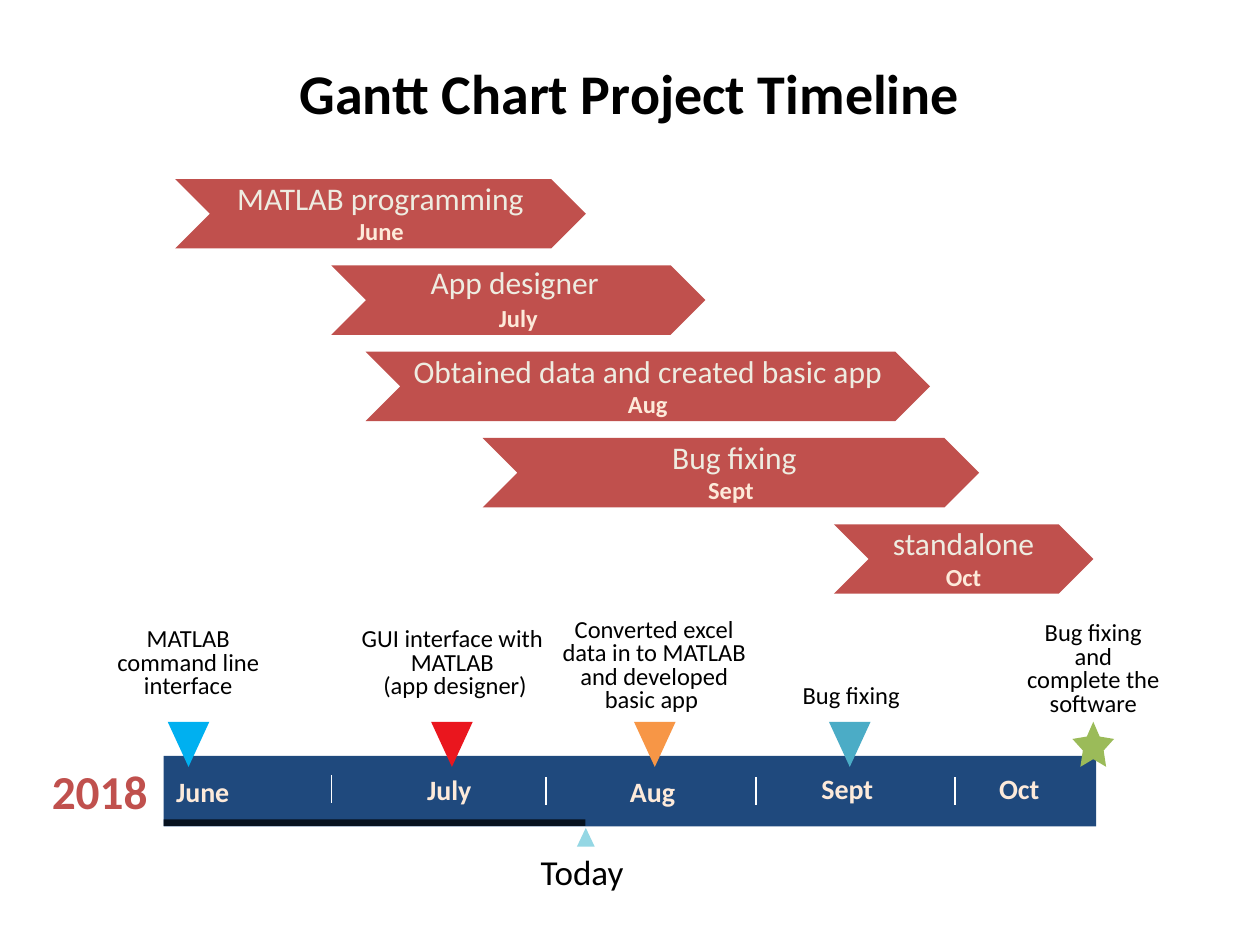
"""Build a one-slide Gantt chart with a 2018 milestone timeline."""
from lxml.etree import SubElement
from pptx import Presentation
from pptx.dml.color import RGBColor
from pptx.enum.shapes import MSO_CONNECTOR, MSO_SHAPE
from pptx.enum.text import MSO_ANCHOR, MSO_AUTO_SIZE, PP_ALIGN
from pptx.oxml.ns import qn
from pptx.util import Cm, Pt

BLACK = RGBColor(0x00, 0x00, 0x00)
WHITE = RGBColor(0xFF, 0xFF, 0xFF)
BRICK = RGBColor(0xC0, 0x50, 0x4D)
NAVY = RGBColor(0x1F, 0x49, 0x7D)
CREAM = RGBColor(0xFD, 0xEA, 0xDA)
IVORY = RGBColor(0xEE, 0xEC, 0xE1)
SKY = RGBColor(0x00, 0xB0, 0xF0)
RED = RGBColor(0xEA, 0x16, 0x1E)
ORANGE = RGBColor(0xF7, 0x96, 0x46)
TEAL = RGBColor(0x4B, 0xAC, 0xC6)
GREEN = RGBColor(0x9B, 0xBB, 0x59)
PALE_BLUE = RGBColor(0x94, 0xD7, 0xE4)

deck = Presentation()
deck.slide_width, deck.slide_height = Cm(25.4), Cm(19.05)
page = deck.slides.add_slide(deck.slide_layouts[6])


def add_figure(kind, left, top, width, height, color):
    figure = page.shapes.add_shape(kind, Cm(left), Cm(top), Cm(width), Cm(height))
    figure.shadow.inherit = False
    figure.fill.solid()
    figure.fill.fore_color.rgb = color
    figure.line.fill.background()
    return figure


def add_label(lines, left, top, width, height, size, color, bold=False, align=PP_ALIGN.CENTER,
              anchor=MSO_ANCHOR.MIDDLE, side=0, edge=0, wrap=False, grow=True, spacing=None):
    box = page.shapes.add_textbox(Cm(left), Cm(top), Cm(width), Cm(height))
    frame = box.text_frame
    frame.word_wrap = wrap
    frame.auto_size = MSO_AUTO_SIZE.SHAPE_TO_FIT_TEXT if grow else MSO_AUTO_SIZE.NONE
    frame.vertical_anchor = anchor
    frame.margin_left = frame.margin_right = Cm(side)
    frame.margin_top = frame.margin_bottom = Cm(edge)
    for index, line in enumerate(lines):
        para = frame.add_paragraph() if index else frame.paragraphs[0]
        para.alignment = align
        para.line_spacing = spacing
        span = para.add_run()
        span.text = line
        span.font.name = "Calibri"
        span.font.size = Pt(size)
        span.font.bold = bold
        span.font.color.rgb = color


add_label(["Gantt Chart Project Timeline"], 2.74, 1.4, 19.91, 1.12, 32, BLACK, bold=True,
          anchor=MSO_ANCHOR.BOTTOM, side=0.18, wrap=True, spacing=0.8)

tasks = [
    ("MATLAB programming", "June", 3.53, 8.28, 5.99, 0),
    ("App designer ", "July", 6.68, 7.54, 3.58, -0.05),
    ("Obtained data and created basic app", "Aug", 7.37, 11.38, 9.55, 0),
    (" Bug fixing", "Sept", 9.73, 10.01, 2.69, 0),
    ("standalone", "Oct", 16.81, 5.23, 2.9, 0),
]
for row, (task, month, left, width, name_width, shift) in enumerate(tasks):
    top = 3.61 + row * 1.74
    add_figure(MSO_SHAPE.CHEVRON, left, top, width, 1.4, BRICK)
    name_left = left + (width - name_width) / 2
    add_label([task], name_left, top + shift, name_width, 0.76, 18, IVORY)
    add_label([month], left, top + 0.76, width, 0.58, 14, CREAM, bold=True, grow=False)

add_figure(MSO_SHAPE.RECTANGLE, 3.3, 15.24, 18.8, 1.42, NAVY)
add_label(["2018"], 0.69, 15.37, 2.64, 1.14, 27, BRICK, bold=True, side=0.2)

months = [("June", 3.3, 15.24), ("July", 8.36, 15.21), ("Aug", 12.45, 15.24),
          ("Sept", 16.31, 15.19), ("Oct", 19.89, 15.19)]
for month, left, top in months:
    add_label([month], left, top, 1.7, 1.42, 16, CREAM, bold=True, align=PP_ALIGN.LEFT,
              side=0.25, edge=0.13, wrap=True, grow=False)

for x, y in [(6.68, 15.62), (11, 15.67), (15.24, 15.67), (19.25, 15.67)]:
    tick = page.shapes.add_connector(MSO_CONNECTOR.STRAIGHT, Cm(x), Cm(y), Cm(x), Cm(y + 0.56))
    tick.line.color.rgb = WHITE
    tick.line.width = Pt(1)
    SubElement(tick.element.spPr, qn("a:effectLst"))

elapsed = add_figure(MSO_SHAPE.RECTANGLE, 3.3, 16.52, 8.5, 0.13, BLACK)
color_node = elapsed.element.spPr.find(qn("a:solidFill"))[0]
SubElement(color_node, qn("a:alpha"), val="75000")
add_figure(MSO_SHAPE.ISOSCELES_TRIANGLE, 11.63, 16.69, 0.36, 0.38, PALE_BLUE)
add_label(["Today"], 10.9, 17.15, 1.68, 0.86, 20, BLACK, align=PP_ALIGN.LEFT,
          anchor=MSO_ANCHOR.TOP)

milestones = [
    (["Bug fixing and complete the software"], 20.45, 12.52, 3.18, 1.93, 21.62, GREEN),
    (["Bug fixing"], 15.04, 13.82, 4.24, 0.48, 16.71, TEAL),
    (["Converted excel data in to MATLAB and developed basic app "],
     11.07, 12.45, 4.24, 1.93, 12.78, ORANGE),
    (["GUI interface with MATLAB", " (app designer)"], 6.68, 12.65, 4.88, 1.45, 8.69, RED),
    (["MATLAB command line interface"], 2.03, 12.65, 3.53, 1.45, 3.38, SKY),
]
for lines, left, top, width, height, marker_left, color in milestones:
    final = color == GREEN
    kind = MSO_SHAPE.STAR_5_POINT if final else MSO_SHAPE.ISOSCELES_TRIANGLE
    marker = add_figure(kind, marker_left, 14.55, 0.84, 0.91, color)
    if final:
        marker.adjustments[0] = 0.25
    else:
        marker.rotation = 180
    add_label(lines, left, top, width, height, 14, BLACK, anchor=MSO_ANCHOR.BOTTOM,
              side=0.25, wrap=True, spacing=0.8)

deck.save("out.pptx")
